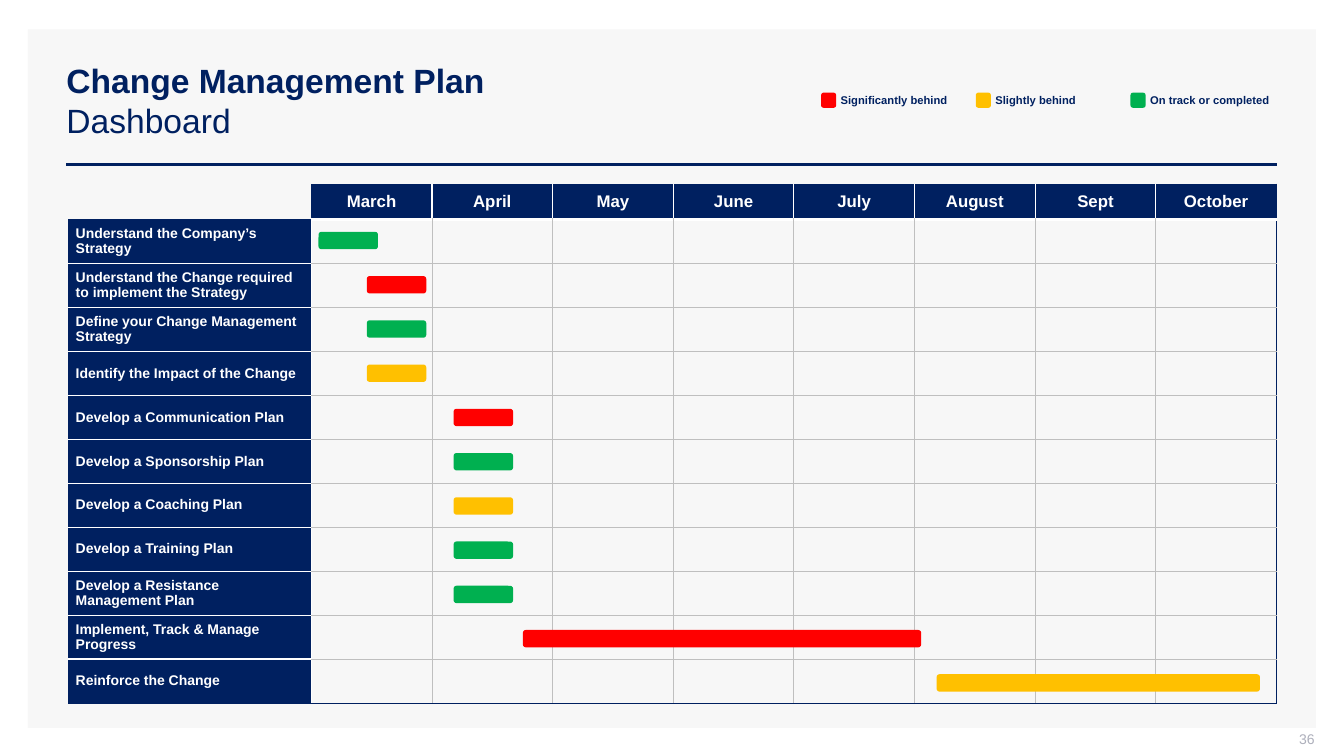
from dataclasses import dataclass

from lxml import etree
from pptx import Presentation
from pptx import util as u
from pptx.dml.color import RGBColor
from pptx.enum import shapes, text
from pptx.oxml.ns import qn


@dataclass(frozen=True)
class Theme:
    font: str = "Arial"
    navy: str = "002060"
    white: str = "FFFFFF"
    panel: str = "F7F7F7"
    grid: str = "BFBFBF"
    muted: str = "ADAFBB"
    behind: str = "FF0000"
    slight: str = "FFC000"
    on_track: str = "00B050"
    title: int = 24
    month: int = 12
    small: int = 10
    legend: int = 8


T = Theme()
LEFT, MIDDLE = text.PP_ALIGN.LEFT, text.MSO_ANCHOR.MIDDLE

MONTHS = ["March", "April", "May", "June", "July", "August", "Sept", "October"]

# Task, bar left, bar width, status colour
TASKS = [
    ("Understand the Company’s Strategy", 227.5, 42.5, T.on_track),
    ("Understand the Change required to implement the Strategy", 262, 42.5, T.behind),
    ("Define your Change Management Strategy", 262, 42.5, T.on_track),
    ("Identify the Impact of the Change", 262, 42.5, T.slight),
    ("Develop a Communication Plan", 324, 42.5, T.behind),
    ("Develop a Sponsorship Plan", 324, 42.5, T.on_track),
    ("Develop a Coaching Plan", 324, 42.5, T.slight),
    ("Develop a Training Plan", 324, 42.5, T.on_track),
    ("Develop a Resistance Management Plan", 324, 42.5, T.on_track),
    ("Implement, Track & Manage Progress", 373.5, 284.5, T.behind),
    ("Reinforce the Change", 669, 231, T.slight),
]
LEGEND = [
    ("Significantly behind", T.behind),
    ("Slightly behind", T.slight),
    ("On track or completed", T.on_track),
]
ROWS, COLS = len(TASKS) + 1, len(MONTHS) + 1
NAVY_EDGE, GRID_EDGE = (T.navy, 0.75), (T.grid, 0.75)
WHITE_EDGE, HEADER_EDGE = (T.white, 1), (T.white, 3)


def vertical_edge(row, edge):
    if row == 0 and edge < 2:
        return None
    if edge in (0, COLS):
        return NAVY_EDGE
    return WHITE_EDGE if row == 0 or edge == 1 else GRID_EDGE


def horizontal_edge(edge, col):
    if col == 0 and edge < 2:
        return None
    if edge in (0, ROWS):
        return NAVY_EDGE
    if col == 0:
        return WHITE_EDGE
    return HEADER_EDGE if edge == 1 else GRID_EDGE


class Deck:
    def __init__(self, theme):
        self.theme = theme
        self.prs = Presentation()
        self.prs.slide_width, self.prs.slide_height = u.Pt(960), u.Pt(540)
        self.s = self.prs.slides.add_slide(self.prs.slide_layouts[6])

    def style(self, font, size, color, bold=None):
        font.name, font.size, font.bold = self.theme.font, u.Pt(size), bold
        font.color.rgb = RGBColor.from_string(color)

    def shape(self, kind, x, y, w, h, color):
        sp = self.s.shapes.add_shape(kind, u.Pt(x), u.Pt(y), u.Pt(w), u.Pt(h))
        sp.shadow.inherit = False
        sp.fill.solid()
        sp.fill.fore_color.rgb = RGBColor.from_string(color)
        sp.line.fill.background()

    def rule(self, x1, x2, y, color, width):
        line = self.s.shapes.add_connector(
            shapes.MSO_CONNECTOR.STRAIGHT, u.Pt(x1), u.Pt(y), u.Pt(x2), u.Pt(y))
        line.line.color.rgb = RGBColor.from_string(color)
        line.line.width = u.Pt(width)
        etree.SubElement(line._element.spPr, qn("a:effectLst"))

    def textbox(self, x, y, w, h, insets, wrap=True, align=LEFT):
        tf = self.s.shapes.add_textbox(u.Pt(x), u.Pt(y), u.Pt(w), u.Pt(h)).text_frame
        tf.word_wrap, tf.vertical_anchor = wrap, MIDDLE
        (tf.margin_left, tf.margin_top,
         tf.margin_right, tf.margin_bottom) = map(u.Pt, insets)
        p = tf.paragraphs[0]
        p.alignment = align
        return p

    def label(self, words, box, insets, size, color, bold=None, **layout):
        p = self.textbox(*box, insets, **layout)
        p.text = words
        self.style(p.font, size, color, bold)

    def title(self, strong, plain, box):
        p = self.textbox(*box, (7.2, 3.6, 7.2, 3.6))
        self.style(p.font, self.theme.title, self.theme.navy)
        for words, bold in ((strong, True), (plain, False)):
            if not bold:
                p.add_line_break()
            r = p.add_run()
            r.text = words
            self.style(r.font, self.theme.title, self.theme.navy, bold)

    def border(self, cell, side, edge):
        ln = etree.SubElement(cell._tc.get_or_add_tcPr(), qn(f"a:ln{side}"))
        if edge is None:
            etree.SubElement(ln, qn("a:noFill"))
            return
        color, width = edge
        ln.set("w", str(u.Pt(width)))
        fill = etree.SubElement(ln, qn("a:solidFill"))
        etree.SubElement(fill, qn("a:srgbClr")).set("val", color)

    def cell(self, cell, row, col, words):
        edges = {
            "L": vertical_edge(row, col), "R": vertical_edge(row, col + 1),
            "T": horizontal_edge(row, col), "B": horizontal_edge(row + 1, col),
        }
        for side, edge in edges.items():
            self.border(cell, side, edge)
        cell.margin_left = cell.margin_right = u.Pt(5.2)
        cell.margin_top = cell.margin_bottom = 0
        cell.vertical_anchor = MIDDLE
        p = cell.text_frame.paragraphs[0]
        self.style(p.font, self.theme.small if row else self.theme.month,
                   self.theme.white, True)
        if not words:
            cell.fill.background()
            return
        cell.fill.solid()
        cell.fill.fore_color.rgb = RGBColor.from_string(self.theme.navy)
        p.text = words
        p.alignment = LEFT if row else text.PP_ALIGN.CENTER

    def table(self, x, y, widths, heights, words_at):
        table = self.s.shapes.add_table(
            len(heights), len(widths), u.Pt(x), u.Pt(y),
            u.Pt(sum(widths)), u.Pt(sum(heights))).table
        table.first_row = table.horz_banding = False
        for column, width in zip(table.columns, widths):
            column.width = u.Pt(width)
        for r, height in enumerate(heights):
            table.rows[r].height = u.Pt(height)
            for c in range(len(widths)):
                self.cell(table.cell(r, c), r, c, words_at(r, c))


def schedule_words(row, col):
    if row and col:
        return ""
    if row:
        return TASKS[row - 1][0]
    return MONTHS[col - 1] if col else ""


def main():
    deck = Deck(T)
    rounded = shapes.MSO_SHAPE.ROUNDED_RECTANGLE

    # Background panel, heading and page number
    deck.shape(shapes.MSO_SHAPE.RECTANGLE, 20, 21, 920, 499, T.panel)
    deck.rule(47.5, 912, 117.4, T.navy, 2)
    deck.title("Change Management Plan", "Dashboard", (40.3, 28.8, 872, 85.7))
    deck.label("36", (723, 522, 216, 15), (7.2, 0, 0, 3.6), T.small, T.muted,
               align=text.PP_ALIGN.RIGHT)

    # Schedule grid
    deck.table(48.9, 131.5, [173.5] + [86.2] * len(MONTHS),
               [25.2] + [31.42] * len(TASKS), schedule_words)

    # Progress bars
    for i, (_, x, width, color) in enumerate(TASKS):
        deck.shape(rounded, x, 165.6 + 31.6 * i, width, 12.4, color)

    # Status legend
    for i, (words, color) in enumerate(LEGEND):
        x = 586.5 + 110.5 * i
        deck.shape(rounded, x, 66.2, 10.8, 10.8, color)
        deck.label(words, (x + 14, 57.6, 89.3, 28), (0, 0, 0, 0), T.legend, T.navy,
                   True, wrap=False)

    deck.prs.save("out.pptx")


if __name__ == "__main__":
    main()
